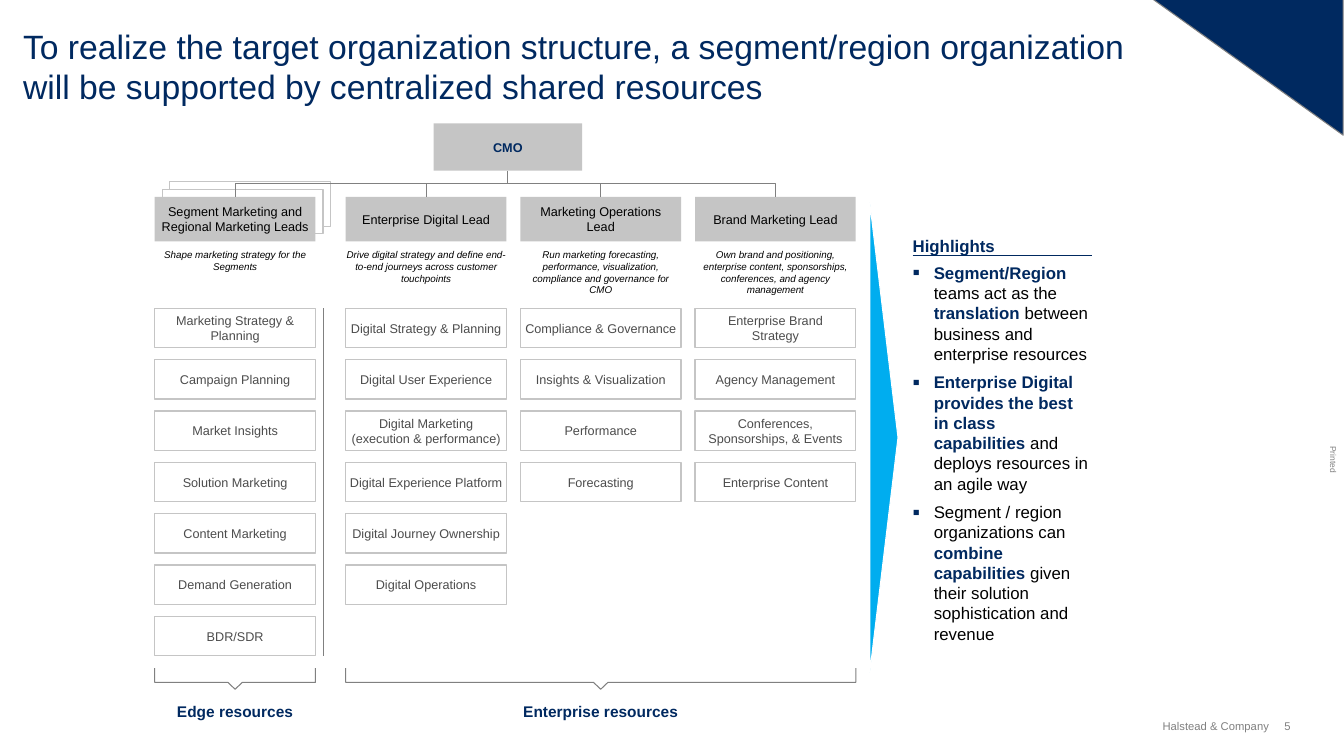
import pptx
import pptx.util
from lxml import etree
from pptx.dml.color import RGBColor
from pptx.enum.shapes import MSO_CONNECTOR, MSO_SHAPE
from pptx.enum.text import MSO_ANCHOR, PP_ALIGN
from pptx.oxml.ns import qn
from pptx.util import Cm, Pt

TITLE = ("To realize the target organization structure, a segment/region "
         "organization will be supported by centralized shared resources")
TOP = "CMO"
# lead, role, teams
COLS = [
    ("Segment Marketing and Regional Marketing Leads",
     "Shape marketing strategy for the Segments",
     ["Marketing Strategy & Planning", "Campaign Planning", "Market Insights",
      "Solution Marketing", "Content Marketing", "Demand Generation", "BDR/SDR"]),
    ("Enterprise Digital Lead",
     "Drive digital strategy and define end-to-end journeys across customer touchpoints",
     ["Digital Strategy & Planning", "Digital User Experience",
      "Digital Marketing\v(execution & performance)", "Digital Experience Platform",
      "Digital Journey Ownership", "Digital Operations"]),
    ("Marketing Operations Lead",
     "Run marketing forecasting, performance, visualization, compliance and governance for CMO",
     ["Compliance & Governance", "Insights & Visualization", "Performance", "Forecasting"]),
    ("Brand Marketing Lead",
     "Own brand and positioning, enterprise content, sponsorships, conferences, "
     "and agency management",
     ["Enterprise Brand\nStrategy", "Agency Management",
      "Conferences, Sponsorships, & Events", "Enterprise Content"]),
]
# label, first column, last column
GROUPS = [("Edge resources", 0, 0), ("Enterprise resources", 1, 3)]
HEAD = "Highlights"
# each point is a list of (text, bold)
POINTS = [
    [("Segment/Region ", True), ("teams act as the ", False), ("translation", True),
     (" between business and enterprise resources", False)],
    [("Enterprise Digital provides the best in class capabilities ", True),
     ("and deploys resources in an agile way", False)],
    [("Segment / region organizations can ", False), ("combine capabilities ", True),
     ("given their solution sophistication and revenue", False)],
]
FIRM, PAGE, STAMP = "Halstead & Company", "5", "Printed"

NAVY = RGBColor(0x00, 0x29, 0x60)
CYAN = RGBColor(0x00, 0xAD, 0xEF)
SILVER = RGBColor(0xC5, 0xC5, 0xC5)
GRAY = RGBColor(0x80, 0x80, 0x80)
DARK = RGBColor(0x4C, 0x4C, 0x4C)
BLACK = RGBColor(0, 0, 0)
WHITE = RGBColor(255, 255, 255)

# lengths in cm
WIDE = 4.04
LEFTS = [3.89] + [8.69 + 4.39 * i for i in range(3)]
LEAD_Y, LEAD_H = 4.95, 1.12
ROLE_Y, ROLE_H = 6.25, 1.2
ROW_Y, ROW_H, STEP = 7.75, 0.99, 1.29
CMO_X, CMO_Y, CMO_W, CMO_H = 10.9, 3.1, 3.73, 1.19
SIDE_X, SIDE_W = 22.94, 4.5

deck = pptx.Presentation()
deck.slide_width, deck.slide_height = Cm(33.78), Cm(18.67)
slide = deck.slides.add_slide(deck.slide_layouts[6])
shapes = slide.shapes


def style(font, size, color, bold=False, italic=False):
    font.name, font.size = "Arial", Pt(size)
    font.bold, font.italic = bold, italic
    font.color.rgb = color


def write(shape, text, size, color, bold=False, italic=False, inset=0.0,
          align=PP_ALIGN.LEFT, anchor=MSO_ANCHOR.TOP, wrap=True):
    frame = shape.text_frame
    frame.text = text
    frame.word_wrap, frame.vertical_anchor = wrap, anchor
    frame.margin_left = frame.margin_right = Cm(inset)
    frame.margin_top = frame.margin_bottom = Cm(inset)
    for para in frame.paragraphs:
        para.alignment = align
        style(para.font, size, color, bold, italic)
        for run in para.runs:
            style(run.font, size, color, bold, italic)


def label(x, y, w, h, text, size, color, **more):
    box = shapes.add_textbox(Cm(x), Cm(y), Cm(w), Cm(h))
    write(box, text, size, color, **more)
    return box


def paint(shape, fill, line, weight=0.75):
    """Set fill and outline, None meaning no paint, and drop the shadow."""
    shape.shadow.inherit = False
    if fill is None:
        shape.fill.background()
    else:
        shape.fill.solid()
        shape.fill.fore_color.rgb = fill
    if line is None:
        shape.line.fill.background()
    else:
        shape.line.color.rgb = line
        shape.line.width = Pt(weight)


def block(x, y, w, h, fill, line=None, weight=0.75, kind=MSO_SHAPE.RECTANGLE):
    shape = shapes.add_shape(kind, Cm(x), Cm(y), Cm(w), Cm(h))
    paint(shape, fill, line, weight)
    return shape


def wire(x1, y1, x2, y2, color, kind=MSO_CONNECTOR.STRAIGHT):
    line = shapes.add_connector(kind, Cm(x1), Cm(y1), Cm(x2), Cm(y2))
    line.line.color.rgb, line.line.width = color, Pt(0.75)
    etree.SubElement(line._element.spPr, qn("a:effectLst"))
    return line


def branch(lead, boss):
    """Join a lead's top to the boss's bottom, bending halfway up."""
    x1, y1 = lead.left + lead.width // 2, lead.top
    x2, y2 = boss.left + boss.width // 2, boss.top + boss.height
    line = wire(0, 0, 1, 1, GRAY, MSO_CONNECTOR.ELBOW)
    line.begin_connect(lead, 0)
    line.end_connect(boss, 2)
    rise, run = y1 - y2, abs(x1 - x2)
    line.left, line.top = (x1 + x2 - rise) // 2, (y1 + y2 - run) // 2
    line.width, line.height = rise, run
    form = line._element.spPr.find(qn("a:xfrm"))
    form.set("rot", "5400000" if x1 < x2 else "16200000")
    form.set("flipH", "1" if x1 < x2 else "0")
    form.set("flipV", "1")


def brace(left, right, top=16.79, base=17.15, tip=17.32, half=0.18):
    mid = (left + right) / 2
    dots = [(left, base), (mid - half, base), (mid, tip), (mid + half, base),
            (right, base), (right, top)]
    path = shapes.build_freeform(Cm(left), Cm(top))
    path.add_line_segments([(Cm(x), Cm(y)) for x, y in dots], close=False)
    paint(path.convert_to_shape(), None, GRAY)


def bullet(para):
    props = para._p.get_or_add_pPr()
    props.set("marL", str(Cm(0.53)))
    props.set("indent", str(-Cm(0.53)))
    tint = etree.SubElement(props, qn("a:buClr"))
    etree.SubElement(tint, qn("a:srgbClr")).set("val", str(NAVY))
    etree.SubElement(props, qn("a:buSzPct")).set("val", "125000")
    etree.SubElement(props, qn("a:buFont")).set("typeface", "Arial")
    etree.SubElement(props, qn("a:buChar")).set("char", "▪")


# frame of the page
MID = {"align": PP_ALIGN.CENTER, "anchor": MSO_ANCHOR.MIDDLE}
stamp = label(33.17, 11.43, 0.69, 0.25, STAMP, 6, GRAY, wrap=False)
stamp.rotation = 90
label(32.28, 18.08, 0.36, 0.33, PAGE, 8, GRAY, anchor=MSO_ANCHOR.MIDDLE, wrap=False)
label(29.03, 18.08, 2.87, 0.33, FIRM, 8, GRAY, align=PP_ALIGN.RIGHT,
      anchor=MSO_ANCHOR.MIDDLE, wrap=False)
corner = block(28.96, -0.03, 4.8, 3.43, NAVY, GRAY, kind=MSO_SHAPE.ISOSCELES_TRIANGLE)
corner.adjustments[0] = 1
corner._element.spPr.find(qn("a:xfrm")).set("flipV", "1")
label(0.58, 0.64, 28.14, 2.06, TITLE, 24, NAVY)

# organization chart
boss = block(CMO_X, CMO_Y, CMO_W, CMO_H, SILVER)
write(boss, TOP, 9, NAVY, bold=True, inset=0.15, **MID)
for shift in (0.38, 0.19):
    block(LEFTS[0] + shift, LEAD_Y - shift, WIDE, LEAD_H, WHITE, SILVER)
for x, (name, role, teams) in zip(LEFTS, COLS):
    lead = block(x, LEAD_Y, WIDE, LEAD_H, SILVER)
    write(lead, name, 9, BLACK, inset=0.15, **MID)
    branch(lead, boss)
    label(x, ROLE_Y, WIDE, ROLE_H, role, 7, BLACK, italic=True, align=PP_ALIGN.CENTER)
    for i, team in enumerate(teams):
        cell = block(x, ROW_Y + i * STEP, WIDE, ROW_H, WHITE, SILVER, 1)
        write(cell, team, 9, DARK, inset=0.1, **MID)
rows = max(len(teams) for _, _, teams in COLS)
wire(8.13, ROW_Y, 8.13, ROW_Y + (rows - 1) * STEP + ROW_H, GRAY)
for text, first, last in GROUPS:
    left, right = LEFTS[first], LEFTS[last] + WIDE
    brace(left, right)
    label((left + right - WIDE) / 2, 17.63, WIDE, 0.45, text, 11, NAVY,
          bold=True, align=PP_ALIGN.CENTER)

# highlights
arrow = block(16.31, 10.64, 11.81, 0.71, CYAN, WHITE, kind=MSO_SHAPE.ISOSCELES_TRIANGLE)
arrow.rotation = 90
label(SIDE_X, 5.87, SIDE_W, 0.56, HEAD, 12, NAVY, bold=True, anchor=MSO_ANCHOR.BOTTOM)
wire(SIDE_X, 6.43, SIDE_X + SIDE_W, 6.43, NAVY)
notes = label(SIDE_X, 6.6, SIDE_W, 9.75, "", 12, BLACK).text_frame
for i, point in enumerate(POINTS):
    para = notes.add_paragraph() if i else notes.paragraphs[0]
    bullet(para)
    if i:
        para.space_before = Pt(6)
    for text, bold in point:
        run = para.add_run()
        run.text = text
        style(run.font, 12, NAVY if bold else BLACK, bold)

deck.save("out.pptx")
